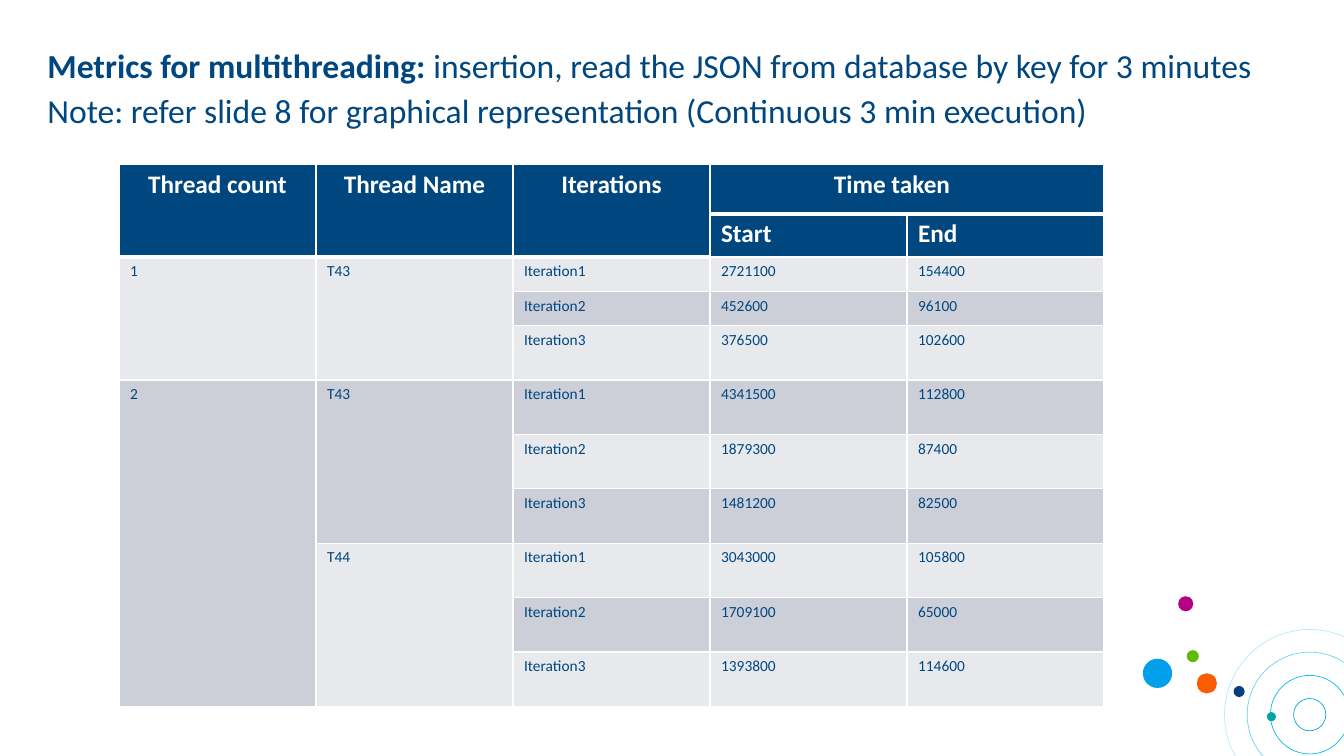
from lxml import etree
from pptx import Presentation
from pptx.dml.color import RGBColor
from pptx.enum.shapes import MSO_SHAPE as SHAPE
from pptx.enum.text import MSO_AUTO_SIZE as AUTO, MSO_ANCHOR as ANCHOR, PP_ALIGN as ALIGN
from pptx.oxml import parse_xml
from pptx.oxml.ns import nsdecls, qn
from pptx.util import Inches, Pt

NAVY, WHITE, LIGHT, DARK = "004780", "FFFFFF", "E7E9ED", "CCCFD8"


def rgb(value):
    return RGBColor.from_string(value)


def style(font, color, **values):
    font.color.rgb = rgb(color)
    for name, value in {"name": "Calibri", **values}.items():
        setattr(font, name, value)


prs = Presentation()
prs.slide_width, prs.slide_height = Inches(13.33), Inches(7.5)
s = prs.slides.add_slide(prs.slide_layouts[1])
title = s.shapes.title
title.element.getparent().remove(title.element)

rings = [(12.99, 7.09, size, None, color) for size, color in [
    (0.32, "00A0EA"), (0.78, "00B9F0"), (1.24, "67D1F5"), (1.69, "B6E8FA")]]
dots = [(x, y, size, color, None) for x, y, size, color in [
    (11.76, 5.99, 0.15, "B50084"), (12.61, 7.11, 0.09, "00A5A8"),
    (12.29, 6.86, 0.11, "004080"), (11.48, 6.68, 0.29, "00A0EA"),
    (11.83, 6.51, 0.12, "60BB00"), (11.97, 6.78, 0.2, "FC5C00")]]
for x, y, size, fill, line in rings + dots:
    sp = s.shapes.add_shape(SHAPE.OVAL, Inches(x - size / 2), Inches(y - size / 2),
                            Inches(size), Inches(size))
    sp.shadow.inherit = False
    if fill:
        sp.fill.solid()
        sp.fill.fore_color.rgb = rgb(fill)
        sp.line.fill.background()
    else:
        sp.fill.background()
        sp.line.color.rgb = rgb(line)
        sp.line.width = Pt(0.47)

body = s.placeholders[1]
body.left, body.top, body.width, body.height = [Inches(v) for v in (0.37, 0.4, 12.39, 1.43)]
tf = body.text_frame
tf.auto_size, tf.vertical_anchor, tf.word_wrap = AUTO.NONE, ANCHOR.TOP, True
heading = [
    [("Metrics for multithreading: ", True),
     ("insertion, read the JSON from database by key for 3 minutes", False)],
    [("Note: refer slide 8 for graphical representation (Continuous 3 min execution)", False)],
]
for i, runs in enumerate(heading):
    p = tf.paragraphs[0] if i == 0 else tf.add_paragraph()
    pPr = p._p.get_or_add_pPr()
    pPr.set("marL", "0")
    pPr.set("indent", "0")
    etree.SubElement(pPr, qn("a:buNone"))
    p.space_before, p.space_after = Pt(0), Pt(3)
    for text, bold in runs:
        r = p.add_run()
        r.text = text
        style(r.font, NAVY, size=Pt(24), bold=bold)

rows = [
    ["Thread count", "Thread Name", "Iterations", "Time taken", ""],
    ["", "", "", "Start", "End"],
    ["1", "T43", "Iteration1", "2721100", "154400"],
    ["", "", "Iteration2", "452600", "96100"],
    ["", "", "Iteration3", "376500", "102600"],
    ["2", "T43", "Iteration1", "4341500", "112800"],
    ["", "", "Iteration2", "1879300", "87400"],
    ["", "", "Iteration3", "1481200", "82500"],
    ["", "T44", "Iteration1", "3043000", "105800"],
    ["", "", "Iteration2", "1709100", "65000"],
    ["", "", "Iteration3", "1393800", "114600"],
]
heights = [0.49, 0.43] + [0.34] * 2 + [0.54] * 7
table = s.shapes.add_table(len(rows), 5, Inches(1.18), Inches(1.63),
                           Inches(9.77), Inches(sum(heights))).table
for column in table.columns:
    column.width = Inches(9.77 / 5)
for row, height in zip(table.rows, heights):
    row.height = Inches(height)

for i, values in enumerate(rows):
    header = i < 2
    for j, text in enumerate(values):
        cell = table.cell(i, j)
        cell.margin_left = cell.margin_right = Inches(0.11)
        cell.margin_top = cell.margin_bottom = Inches(0.05)
        cell.fill.solid()
        cell.fill.fore_color.rgb = rgb(NAVY if header else DARK if i % 2 else LIGHT)
        p = cell.text_frame.paragraphs[0]
        if text:
            r = p.add_run()
            r.text = text
            style(r.font, WHITE if header else NAVY, size=Pt(18 if header else 11), bold=header)
        if i == 0 and j < 3:
            p.alignment = ALIGN.CENTER
        bottom = 3 if i == 0 or (i == 1 and j < 3) else 1
        borders = [("L", 1), ("R", 1)] + [("T", 1)] * (i == 0) + [("B", bottom)]
        for k, (side, width) in enumerate(borders):
            cell._tc.tcPr.insert(k, parse_xml(
                f'<a:ln{side} {nsdecls("a")} w="{Pt(width)}"><a:solidFill>'
                f'<a:srgbClr val="{WHITE}"/></a:solidFill></a:ln{side}>'))
table.cell(0, 3).margin_left = Inches(1.23)

merges = [(0, j, 1, j) for j in range(3)] + [
    (0, 3, 0, 4), (2, 0, 4, 0), (5, 0, 10, 0)] + [(i, 1, i + 2, 1) for i in (2, 5, 8)]
for top, left, bottom, right in merges:
    table.cell(top, left).merge(table.cell(bottom, right))

prs.save("out.pptx")
